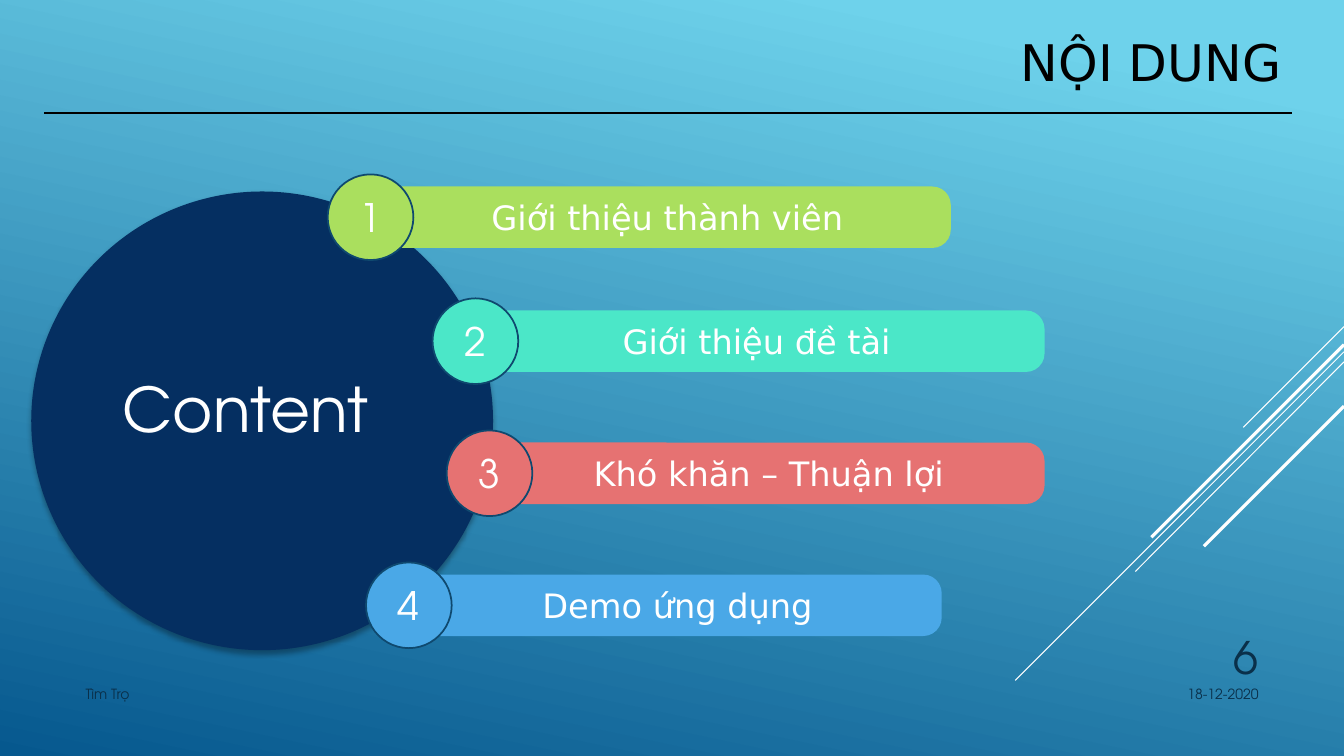
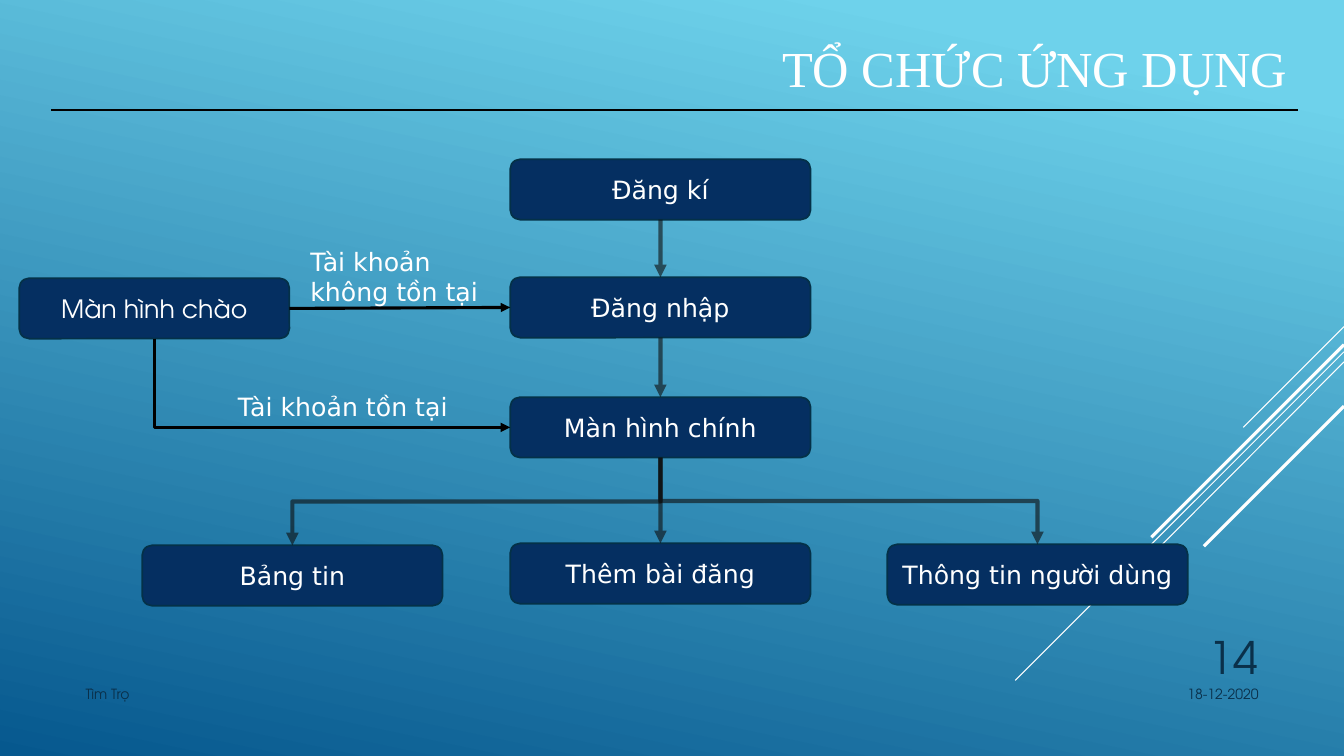
from pptx import Presentation
from pptx.dml.color import RGBColor
from pptx.enum.shapes import MSO_CONNECTOR, MSO_SHAPE
from pptx.enum.text import MSO_ANCHOR, PP_ALIGN
from pptx.oxml.ns import qn
from pptx.util import Inches, Pt
from lxml import etree

# Enum members
STRAIGHT, ELBOW = MSO_CONNECTOR.STRAIGHT, MSO_CONNECTOR.ELBOW
OVAL, ROUNDED = MSO_SHAPE.OVAL, MSO_SHAPE.ROUNDED_RECTANGLE
LEFT, CENTER, RIGHT = PP_ALIGN.LEFT, PP_ALIGN.CENTER, PP_ALIGN.RIGHT
TOP, MIDDLE, BOTTOM = MSO_ANCHOR.TOP, MSO_ANCHOR.MIDDLE, MSO_ANCHOR.BOTTOM

# Connection sites of a box
SITE_TOP, SITE_LEFT, SITE_BOTTOM, SITE_RIGHT = range(4)

# Colours
SKY = RGBColor(0x6E, 0xD2, 0xEB)
OCEAN = RGBColor(0x06, 0x58, 0x8E)
NAVY = RGBColor(0x05, 0x2F, 0x61)
WHITE = RGBColor(0xFF, 0xFF, 0xFF)
BLACK = RGBColor(0x00, 0x00, 0x00)
CHARCOAL = RGBColor(0x0D, 0x0D, 0x0D)
FOOTER_INK = RGBColor(0x0A, 0x30, 0x4A)
BADGE_EDGE = RGBColor(0x0F, 0x49, 0x6F)
BOX_EDGE = RGBColor(0x04, 0x31, 0x48)
LIME = RGBColor(0xAA, 0xDF, 0x5E)
MINT = RGBColor(0x4B, 0xE7, 0xC8)
CORAL = RGBColor(0xE6, 0x72, 0x72)
AZURE = RGBColor(0x4A, 0xA8, 0xE7)

# Fonts
SANS, GEOMETRIC, SERIF = "DejaVu Sans", "TeX Gyre Adventor", "Times New Roman"

# Diagonal accents: right-edge y, end x, end y, width in points
ACCENTS = [
    (3.24, 12.33, 4.24, 0.75),
    (3.49, 10.07, 6.75, 0.75),
    (3.59, 11.26, 5.67, 0.75),
    (3.42, 11.42, 5.33, 2.25),
    (4.03, 11.94, 5.42, 2.25),
]

# Agenda rows: text, colour, badge left, badge top, bar left, bar width
AGENDA = [
    ("Giới thiệu thành viên", LIME, 3.25, 1.73, 3.81, 5.62),
    ("Giới thiệu đề tài", MINT, 4.29, 2.96, 4.65, 5.71),
    ("Khó khăn – Thuận lợi", CORAL, 4.43, 4.27, 4.89, 5.47),
    ("Demo ứng dụng", AZURE, 3.63, 5.58, 4.1, 5.24),
]
BADGE_SIZE, BAR_HEIGHT = 0.85, 0.61
BOX_WIDTH, BOX_HEIGHT, MIDDLE_COLUMN = 2.98, 0.6, 5.06


def inches(*lengths):
    return [Inches(length) for length in lengths]


# Text
def write(shape, text, size, font=SANS, color=WHITE, align=CENTER, anchor=MIDDLE):
    frame = shape.text_frame
    frame.word_wrap = True
    frame.vertical_anchor = anchor
    paragraph = frame.paragraphs[0]
    paragraph.alignment = align
    run = paragraph.add_run()
    run.text = text
    for name, value in {"name": font, "size": Pt(size), "bold": False}.items():
        setattr(run.font, name, value)
    run.font.color.rgb = color


def add_label(slide, at, text, size, **style):
    write(slide.shapes.add_textbox(*inches(*at)), text, size, **style)


# Shapes and lines
def add_block(slide, kind, at, fill, edge=None):
    block = slide.shapes.add_shape(kind, *inches(*at))
    block.shadow.inherit = False
    block.fill.solid()
    block.fill.fore_color.rgb = fill
    if edge is None:
        block.line.fill.background()
    else:
        block.line.color.rgb = edge
        block.line.width = Pt(1.25)
    return block


def style_line(line, color, width):
    line.line.color.rgb = color
    line.line.width = Pt(width)
    etree.SubElement(line._element.spPr, qn("a:effectLst"))


def add_line(slide, start, end, color, width):
    line = slide.shapes.add_connector(STRAIGHT, *inches(*start, *end))
    style_line(line, color, width)


def add_soft_shadow(shape):
    effects = shape._element.spPr.find(qn("a:effectLst"))
    shadow = etree.SubElement(
        effects, qn("a:outerShdw"), blurRad=str(Pt(3.5)), dist=str(Pt(2.2)),
        dir="5400000", rotWithShape="0")
    shade = etree.SubElement(shadow, qn("a:srgbClr"), val=str(BLACK))
    etree.SubElement(shade, qn("a:alpha"), val="32000")


def turn_elbow(arrow, preset):
    """Make an elbow leave its start vertically."""
    start_x, start_y = arrow.begin_x, arrow.begin_y
    end_x, end_y = arrow.end_x, arrow.end_y
    run, drop = abs(end_x - start_x), end_y - start_y
    goes_right = end_x > start_x
    place = {
        "left": (start_x + end_x - drop) // 2,
        "top": (start_y + end_y - run) // 2,
        "width": drop,
        "height": run,
    }
    for name, value in place.items():
        setattr(arrow, name, value)
    properties = arrow._element.spPr
    frame = properties.find(qn("a:xfrm"))
    for flip in ("flipH", "flipV"):
        frame.attrib.pop(flip, None)
    frame.set("rot", "16200000" if goes_right else "5400000")
    if goes_right:
        frame.set("flipH", "1")
    properties.find(qn("a:prstGeom")).set("prst", preset)


def add_arrow(slide, source, source_site, target, target_site,
              color=CHARCOAL, width=3, opacity=60, elbow=None):
    arrow = slide.shapes.add_connector(ELBOW if elbow else STRAIGHT, 0, 0, 0, 0)
    arrow.begin_connect(source, source_site)
    arrow.end_connect(target, target_site)
    if elbow:
        turn_elbow(arrow, elbow)
    style_line(arrow, color, width)
    outline = arrow._element.spPr.find(qn("a:ln"))
    if opacity < 100:
        ink = outline.find(".//" + qn("a:srgbClr"))
        etree.SubElement(ink, qn("a:alpha"), val=str(opacity * 1000))
    etree.SubElement(outline, qn("a:tailEnd"), type="triangle")


# Parts shared by the slides
def paint_background(master):
    fill = master.background.fill
    fill.gradient()
    fill.gradient_angle = 258
    for stop, color, position in zip(fill.gradient_stops, (SKY, OCEAN), (0.1, 1)):
        stop.color.rgb = color
        stop.position = position


def start_slide(deck, title, title_at, font, color, rule_start, rule_end, number):
    slide = deck.slides.add_slide(deck.slide_layouts[5])
    for edge_y, end_x, end_y, width in ACCENTS:
        add_line(slide, (13.33, edge_y), (end_x, end_y), WHITE, width)
    heading = slide.shapes.title
    for name, value in zip(("left", "top", "width", "height"), inches(*title_at)):
        setattr(heading, name, value)
    write(heading, title, 36, font, color, RIGHT)
    add_line(slide, rule_start, rule_end, BLACK, 1.25)
    footer = {"font": GEOMETRIC, "color": FOOTER_INK}
    add_label(slide, (10.83, 6.75, 1.75, 0.4), "18-12-2020", 10,
              align=RIGHT, anchor=TOP, **footer)
    add_label(slide, (0.75, 6.75, 8.25, 0.4), "Tìm Trọ", 10,
              align=LEFT, anchor=TOP, **footer)
    add_label(slide, (11.33, 6.1, 1.25, 0.73), number, 32,
              align=RIGHT, anchor=BOTTOM, **footer)
    return slide


# Slide: agenda
def build_agenda(deck):
    slide = start_slide(deck, "NỘI DUNG", (0.13, 0.14, 12.68, 0.94), SANS, BLACK,
                        (0.44, 1.12), (12.81, 1.12), "6")
    hub = add_block(slide, OVAL, (0.31, 1.9, 4.58, 4.55), NAVY)
    add_soft_shadow(hub)
    add_label(slide, (1.12, 3.63, 2.66, 0.84), "Content", 44,
              font=GEOMETRIC, align=LEFT, anchor=TOP)
    for number, row in enumerate(AGENDA, 1):
        text, color, badge_left, badge_top, bar_left, bar_width = row
        bar_top = badge_top + (BADGE_SIZE - BAR_HEIGHT) / 2
        bar = add_block(slide, ROUNDED, (bar_left, bar_top, bar_width, BAR_HEIGHT), color)
        bar.adjustments[0] = 0.3
        write(bar, text, 24, anchor=TOP)
        badge = add_block(slide, OVAL, (badge_left, badge_top, BADGE_SIZE, BADGE_SIZE),
                          color, BADGE_EDGE)
        write(badge, str(number), 28, GEOMETRIC)


# Slide: application structure
def add_screen(slide, text, left, top, width=BOX_WIDTH, font=SANS):
    screen = add_block(slide, ROUNDED, (left, top, width, BOX_HEIGHT), NAVY, BOX_EDGE)
    write(screen, text, 18, font)
    return screen


def build_structure(deck):
    slide = start_slide(deck, "TỔ CHỨC ỨNG DỤNG", (0.19, 0.22, 12.68, 0.89), SERIF,
                        WHITE, (0.51, 1.09), (12.87, 1.09), "14")
    register = add_screen(slide, "Đăng kí", MIDDLE_COLUMN, 1.58)
    login = add_screen(slide, "Đăng nhập", MIDDLE_COLUMN, 2.75)
    home = add_screen(slide, "Màn hình chính", MIDDLE_COLUMN, 3.94)
    news = add_screen(slide, "Bảng tin", 1.41, 5.41)
    new_post = add_screen(slide, "Thêm bài đăng", MIDDLE_COLUMN, 5.39)
    profile = add_screen(slide, "Thông tin người dùng", 8.8, 5.4)
    welcome = add_screen(slide, "Màn hình chào", 0.19, 2.76, 2.68, GEOMETRIC)

    # Downward flow
    for source, target, elbow in [
        (home, news, "bentConnector3"),
        (home, new_post, None),
        (home, profile, "bentConnector3"),
        (register, login, None),
        (login, home, None),
    ]:
        add_arrow(slide, source, SITE_BOTTOM, target, SITE_TOP, elbow=elbow)

    # Choices from the welcome screen
    choice = {"color": BLACK, "width": 2.25, "opacity": 100}
    add_arrow(slide, welcome, SITE_BOTTOM, home, SITE_LEFT,
              elbow="bentConnector2", **choice)
    add_arrow(slide, welcome, SITE_RIGHT, login, SITE_LEFT, **choice)
    for at, text in [
        ((2.26, 3.83, 2.79, 0.4), "Tài khoản tồn tại"),
        ((2.98, 2.39, 1.89, 0.71), "Tài khoản không tồn tại"),
    ]:
        add_label(slide, at, text, 18, align=LEFT, anchor=TOP)


def main():
    deck = Presentation()
    deck.slide_width, deck.slide_height = inches(13.33, 7.5)
    paint_background(deck.slide_master)
    build_agenda(deck)
    build_structure(deck)
    deck.save("out.pptx")


if __name__ == "__main__":
    main()
